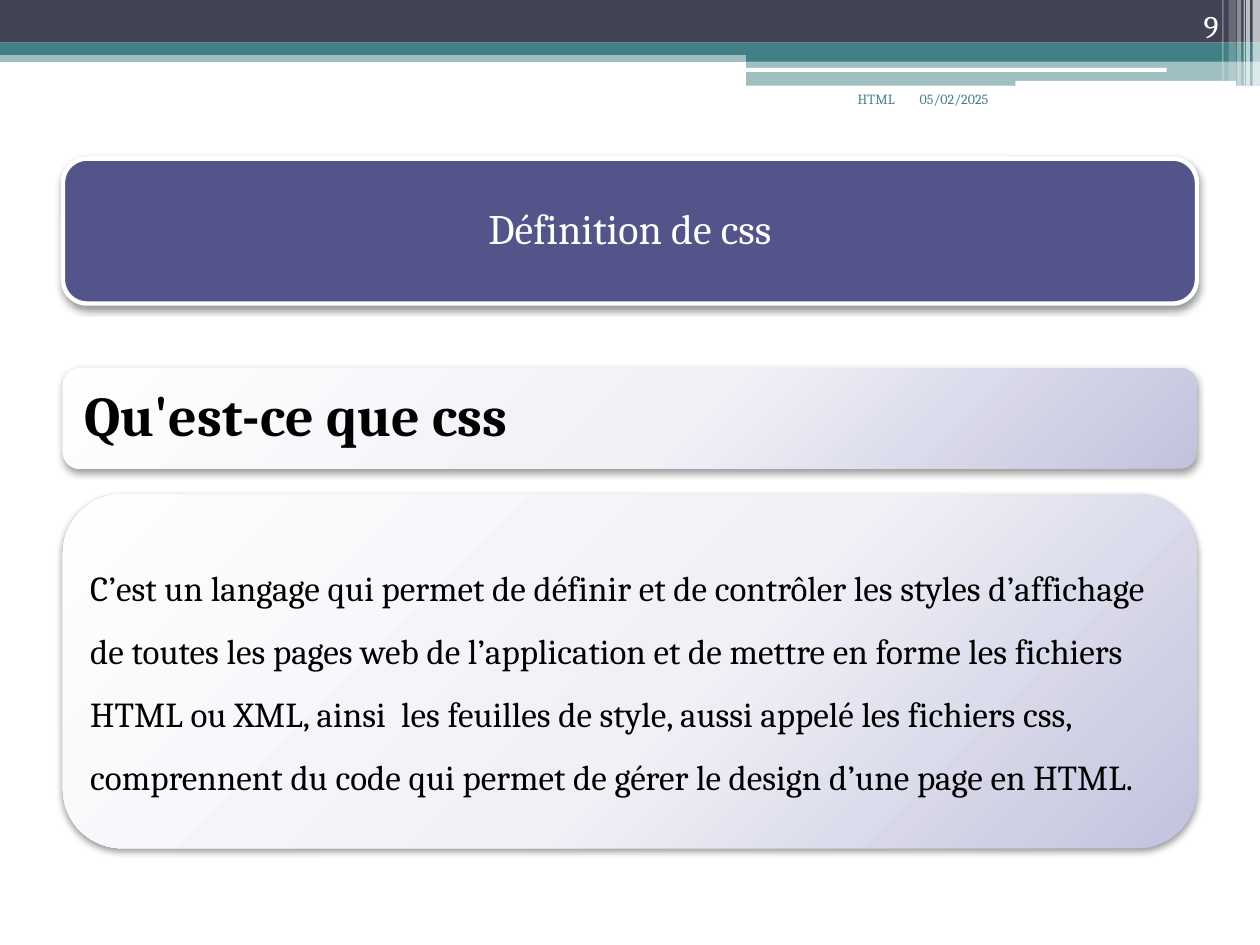
from lxml.etree import SubElement
from pptx import Presentation
from pptx.dml.color import RGBColor
from pptx.enum.shapes import MSO_SHAPE
from pptx.enum.text import MSO_ANCHOR, PP_ALIGN
from pptx.oxml import parse_xml
from pptx.oxml.ns import nsdecls, qn
from pptx.util import Cm, Pt

TEAL, SLATE, VIOLET, WHITE, BLACK = "438086", "424456", "53548A", "FFFFFF", "000000"
GRADIENT = ((0, "FEFEFE"), (55, "F0F1F7"), (100, "C2C2DD"))


def rgb(value):
    return RGBColor.from_string(value)


class SlideBuilder:
    font = "Cambria"

    def __init__(self, slide):
        self.s = slide

    def bar(self, x, y, w, h, color, alpha=100, kind=MSO_SHAPE.RECTANGLE):
        sp = self.s.shapes.add_shape(kind, Cm(x), Cm(y), Cm(w), Cm(h))
        sp.shadow.inherit = False
        sp.fill.solid()
        sp.fill.fore_color.rgb = rgb(color)
        sp.line.fill.background()
        if alpha < 100:
            clr = sp._element.spPr.find(qn("a:solidFill"))[0]
            SubElement(clr, qn("a:alpha"), val=str(alpha * 1000))
        return sp

    def card(self, x, y, w, h, color=None):
        """Rounded panel: plain with a white outline, or with the soft gradient."""
        sp = self.bar(x, y, w, h, color or WHITE, kind=MSO_SHAPE.ROUNDED_RECTANGLE)
        spPr = sp._element.spPr
        if color:
            sp.line.color.rgb = rgb(WHITE)
            sp.line.width = Pt(2.5)
        else:
            stops = "".join(f'<a:gs pos="{pos * 1000}"><a:srgbClr val="{c}"/></a:gs>'
                            for pos, c in GRADIENT)
            spPr.replace(spPr.find(qn("a:solidFill")), parse_xml(
                f'<a:gradFill {nsdecls("a")} rotWithShape="1"><a:gsLst>{stops}</a:gsLst>'
                '<a:path path="circle"><a:fillToRect l="-40000" t="-90000" '
                'r="140000" b="190000"/></a:path></a:gradFill>'))
        shadow = SubElement(spPr.find(qn("a:effectLst")), qn("a:outerShdw"),
                            blurRad=str(Pt(4.1)), dist=str(Pt(2)), dir="5400000",
                            rotWithShape="0")
        clr = SubElement(shadow, qn("a:srgbClr"), val=BLACK)
        SubElement(clr, qn("a:alpha"), val="40000")

    def text(self, x, y, w, h, text, size, color, bold=False,
             anchor=MSO_ANCHOR.TOP, margin=None, **para):
        tf = self.s.shapes.add_textbox(Cm(x), Cm(y), Cm(w), Cm(h)).text_frame
        tf.word_wrap = True
        tf.vertical_anchor = anchor
        if margin is not None:
            for side in ("left", "top", "right", "bottom"):
                setattr(tf, f"margin_{side}", Cm(margin))
        p = tf.paragraphs[0]
        for name, value in para.items():
            setattr(p, name, value)
        r = p.add_run()
        r.text = text
        for name, value in {"name": self.font, "size": Pt(size), "bold": bold}.items():
            setattr(r.font, name, value)
        r.font.color.rgb = rgb(color)

    def text_card(self, y, h, inset, text, size, color=BLACK, fill=None, **fmt):
        x, w = 1.27, 22.86
        self.card(x, y, w, h, fill)
        self.text(x + inset, y + inset, w - 2 * inset, h - 2 * inset,
                  text, size, color, anchor=MSO_ANCHOR.MIDDLE, **fmt)


def main():
    prs = Presentation()
    prs.slide_width, prs.slide_height = Cm(25.4), Cm(19.05)
    b = SlideBuilder(prs.slides.add_slide(prs.slide_layouts[6]))

    # Header bands
    for band in (
        (0, 1.02, 25.4, 0.23, TEAL, 50),
        (0, 0, 25.4, 0.86, SLATE),
        (0, 0.86, 25.4, 0.25, TEAL),
        (15.04, 0.99, 10.36, 0.25, TEAL),
        (15.04, 1.22, 10.36, 0.51, TEAL, 50),
    ):
        b.bar(*band)

    # White rules in the header
    for rule in ((15.01, 1.37, 8.51, 0.08), (20.47, 1.63, 4.45, 0.1)):
        b.bar(*rule, WHITE, kind=MSO_SHAPE.ROUNDED_RECTANGLE)

    # Translucent stripes in the corner
    for x, w, h, alpha in (
        (25.25, 0.15, 1.73, 65), (25.12, 0.08, 1.73, 65), (25.07, 0.03, 1.73, 60),
        (24.94, 0.08, 1.73, 40), (24.77, 0.15, 1.63, 20), (24.64, 0.03, 1.63, 30),
    ):
        b.bar(x, 0, w, h, WHITE, alpha)

    # Title, question and definition
    b.text_card(3.2, 2.92, 0.15, "Définition de css", 24, WHITE, VIOLET,
                margin=0.25, alignment=PP_ALIGN.CENTER, line_spacing=0.9)
    b.text_card(7.42, 2.03, 0.1, "Qu'est-ce que css", 32,
                bold=True, margin=0.33, line_spacing=0.9)
    b.text_card(9.96, 7.14, 0.35,
                "C’est un langage qui permet de définir et de contrôler les styles "
                "d’affichage de toutes les pages web de l’application et de mettre en "
                "forme les fichiers HTML ou XML, ainsi  les feuilles de style, aussi "
                "appelé les fichiers css, comprennent du code qui permet de gérer le "
                "design d’une page en HTML.",
                20, margin=0.2, line_spacing=1.5)

    # Date, footer and page number
    b.text(18.29, 1.7, 2.67, 1.27, "05/02/2025", 8, TEAL)
    b.text(14.61, 1.7, 3.68, 1.27, "HTML", 8, TEAL, alignment=PP_ALIGN.RIGHT)
    b.text(22.71, 0, 2.11, 1.02, "9", 18, WHITE, anchor=MSO_ANCHOR.BOTTOM,
           alignment=PP_ALIGN.RIGHT)

    prs.save("out.pptx")


if __name__ == "__main__":
    main()
